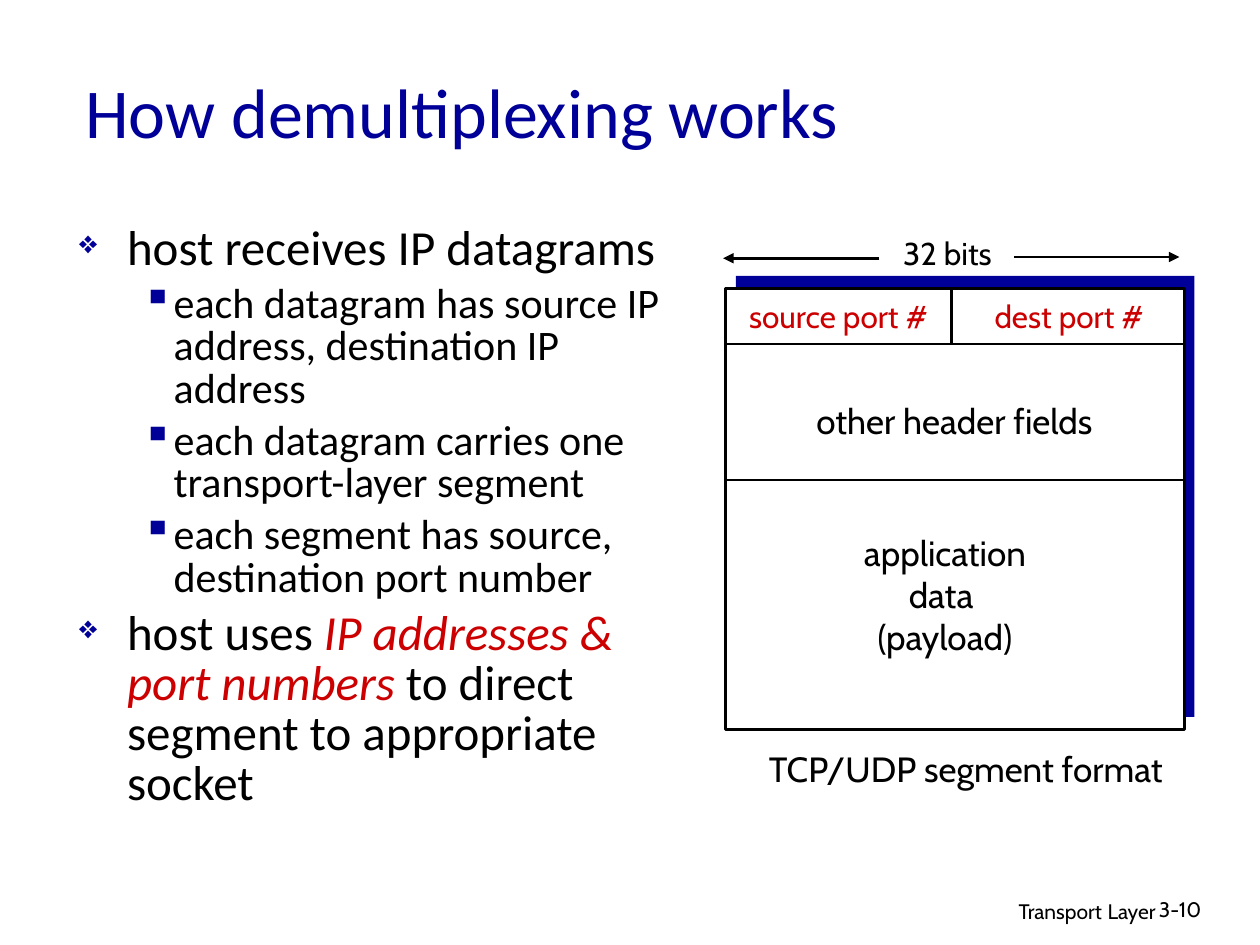
from lxml import etree
from pptx import Presentation
from pptx.dml.color import RGBColor
from pptx.enum.shapes import MSO_CONNECTOR, MSO_SHAPE
from pptx.enum.text import MSO_ANCHOR, MSO_AUTO_SIZE, PP_ALIGN
from pptx.oxml.ns import qn
from pptx.util import Inches, Pt

LEFT, MID, RIGHT = PP_ALIGN.LEFT, PP_ALIGN.CENTER, PP_ALIGN.RIGHT
TOP, CENTRE = MSO_ANCHOR.TOP, MSO_ANCHOR.MIDDLE
GROW = MSO_AUTO_SIZE.SHAPE_TO_FIT_TEXT
RECT, LINE = MSO_SHAPE.RECTANGLE, MSO_CONNECTOR.STRAIGHT
BLUE, RED, BLACK, WHITE = "000099", "CC0000", "000000", "FFFFFF"

color = RGBColor.from_string


def write(para, text, hue=BLACK, **style):
    run = para.add_run()
    run.text = text
    for key, val in style.items():
        setattr(run.font, key, val)
    run.font.color.rgb = color(hue)


deck = Presentation()
deck.slide_width, deck.slide_height = Inches(10), Inches(7.5)
slide = deck.slides.add_slide(deck.slide_layouts[6])
shapes = slide.shapes

for x, y, fill in [(5.84, 2.19, BLUE), (5.76, 2.29, WHITE)]:
    box = shapes.add_shape(RECT, Inches(x), Inches(y), Inches(3.64), Inches(3.5))
    box.shadow.inherit = False
    box.fill.solid()
    box.fill.fore_color.rgb = color(fill)
    if fill == BLUE:
        box.line.fill.background()
    else:
        box.line.color.rgb = color(BLACK)
        box.line.width = Pt(1.5)

lines = [
    (5.76, 2.73, 9.4, 2.73, False),
    (5.76, 3.81, 9.4, 3.81, False),
    (7.55, 2.73, 7.55, 2.29, False),
    (8.05, 2.04, 9.36, 2.04, True),
    (6.98, 2.05, 5.74, 2.05, True),
]
for x1, y1, x2, y2, arrow in lines:
    line = shapes.add_connector(LINE, Inches(x1), Inches(y1), Inches(x2), Inches(y2))
    line.line.color.rgb = color(BLACK)
    line.line.width = Pt(1.5)
    props = line.element.spPr
    if arrow:
        etree.SubElement(props.find(qn("a:ln")), qn("a:tailEnd"), type="triangle")
    etree.SubElement(props, qn("a:effectLst"))

wide = {"word_wrap": True, "vertical_anchor": TOP}
tight = {"word_wrap": False, "auto_size": GROW}
title = {"word_wrap": True, "vertical_anchor": CENTRE}
texts = [
    (0.58, 0.25, 8.5, 1.25, ["How demultiplexing works"], 40, "Calibri", BLUE, LEFT, title),
    (9.1, 7.07, 0.74, 0.3, ["3-10"], 12, "Cabin", BLACK, LEFT, wide),
    (5.8, 2.31, 1.71, 0.4, ["source port #"], 18, "Cabin", RED, MID, tight),
    (7.76, 2.31, 1.45, 0.4, ["dest port #"], 18, "Cabin", RED, MID, tight),
    (7.05, 1.81, 0.94, 0.4, ["32 bits"], 18, "Cabin", BLACK, MID, tight),
    (6.74, 4.17, 1.52, 1.1, ["application", "data ", "(payload)"], 20, "Cabin", BLACK, MID, tight),
    (6.32, 3.12, 2.51, 0.43, ["other header fields"], 20, "Cabin", BLACK, MID, tight),
    (5.99, 5.88, 3.35, 0.43, ["TCP/UDP segment format"], 20, "Cabin", BLACK, MID, tight),
]
for x, y, w, h, rows, size, font, hue, align, form in texts:
    frame = shapes.add_textbox(Inches(x), Inches(y), Inches(w), Inches(h)).text_frame
    for key, val in form.items():
        setattr(frame, key, val)
    for i, row in enumerate(rows):
        para = frame.add_paragraph() if i else frame.paragraphs[0]
        para.alignment = align
        write(para, row, hue, size=Pt(size), name=font)

foot = shapes.add_textbox(Inches(6.1), Inches(7.05), Inches(3.17), Inches(0.31)).text_frame
foot.word_wrap = True
para = foot.paragraphs[0]
para.alignment = RIGHT
for text, size in [("Transport", 12), (" ", 14), ("Layer", 12)]:
    write(para, text, size=Pt(size), name="Cabin")

points = [
    (0, [("host receives IP datagrams", BLACK)]),
    (1, [("each datagram has source IP address, destination IP address", BLACK)]),
    (1, [("each datagram carries one transport-layer segment", BLACK)]),
    (1, [("each segment has source, destination port number", BLACK)]),
    (0, [
        ("host uses ", BLACK),
        ("IP addresses & port numbers", RED),
        (" to direct segment to appropriate socket", BLACK),
    ]),
]
levels = [
    {"size": 28, "left": 0.38, "hang": 0.38, "mark": "❖", "scale": 65},
    {"size": 24, "left": 0.75, "hang": 0.25, "mark": "▪", "scale": 100},
]
body = shapes.add_textbox(Inches(0.53), Inches(1.74), Inches(4.85), Inches(3.05)).text_frame
body.word_wrap = True
for i, (depth, runs) in enumerate(points):
    form = levels[depth]
    para = body.add_paragraph() if i else body.paragraphs[0]
    para.level = depth
    props = para._p.get_or_add_pPr()
    props.set("marL", str(Inches(form["left"])))
    props.set("indent", str(-Inches(form["hang"])))
    tint = etree.SubElement(props, qn("a:buClr"))
    etree.SubElement(tint, qn("a:srgbClr"), val=BLUE)
    etree.SubElement(props, qn("a:buSzPct"), val=str(form["scale"] * 1000))
    etree.SubElement(props, qn("a:buChar"), char=form["mark"])
    para.line_spacing = 0.85
    para.space_before = Pt(form["size"] * 0.2 if i else 0)
    for text, hue in runs:
        write(para, text, hue, size=Pt(form["size"]), name="Calibri", italic=hue == RED)

deck.save("out.pptx")
